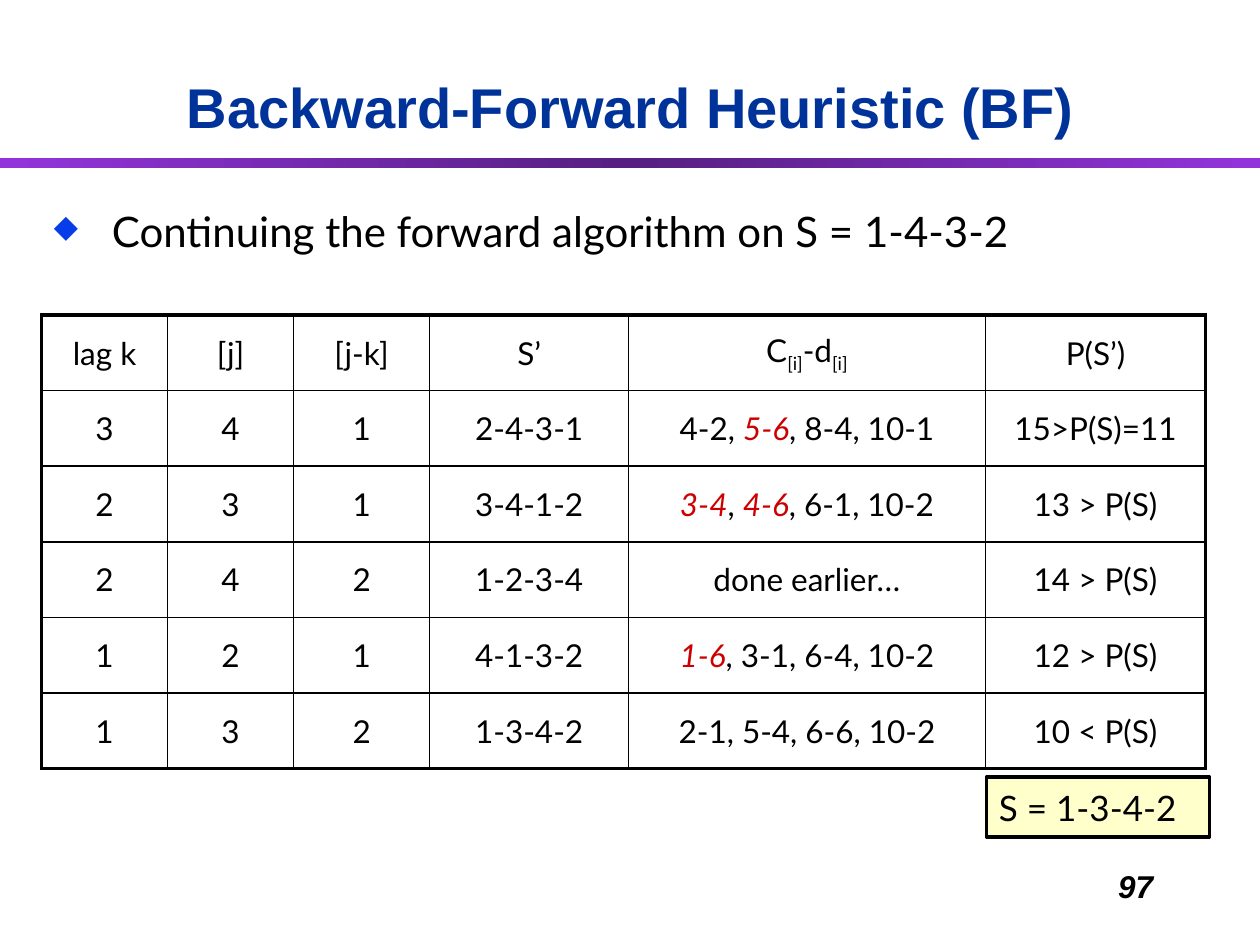
from copy import deepcopy
from dataclasses import dataclass

from lxml.etree import SubElement
from pptx import Presentation
from pptx.dml.color import RGBColor as RGB
from pptx.enum.shapes import MSO_SHAPE as SHAPE
from pptx.enum.text import MSO_ANCHOR as ANCHOR, PP_ALIGN as ALIGN
from pptx.oxml.ns import qn
from pptx.util import Inches, Pt


@dataclass(frozen=True)
class Theme:
    black: str = "000000"
    title: str = "003399"
    bullet: str = "063DE8"
    red: str = "CC0000"
    note: str = "FFFFCC"
    band: tuple = ("9234DB", "561F81", "9234DB")
    head_font: str = "Arial"
    body_font: str = "Lato"
    title_size: int = 32
    body_size: int = 24
    note_size: int = 20
    cell_size: int = 18
    thick: float = 2.25
    thin: float = 1


class SlideBuilder:
    def __init__(self, slide, theme):
        self.slide = slide
        self.theme = theme

    def style(self, font, size, name=None, color=None, bold=False, italic=False):
        font.name = name or self.theme.body_font
        font.size = Pt(size)
        font.color.rgb = RGB.from_string(color or self.theme.black)
        font.bold = bold
        font.italic = italic

    def text(self, box, text, size, align=ALIGN.LEFT, anchor=ANCHOR.TOP, **font):
        tf = self.slide.shapes.add_textbox(*map(Inches, box)).text_frame
        tf.word_wrap = True
        tf.vertical_anchor = anchor
        p = tf.paragraphs[0]
        p.text = text
        p.alignment = align
        self.style(p.runs[0].font, size, **font)
        return p

    def bullet(self, box, text, indent):
        p = self.text(box, text, self.theme.body_size)
        pPr = p._p.get_or_add_pPr()
        pPr.set("marL", str(Inches(indent)))
        pPr.set("indent", str(-Inches(indent)))
        color = SubElement(pPr, qn("a:buClr"))
        SubElement(color, qn("a:srgbClr"), val=self.theme.bullet)
        SubElement(pPr, qn("a:buSzPct"), val="75000")
        SubElement(pPr, qn("a:buChar"), char="◆")

    def rect(self, box):
        sp = self.slide.shapes.add_shape(SHAPE.RECTANGLE, *map(Inches, box))
        sp.shadow.inherit = False
        return sp

    def band(self, box):
        sp = self.rect(box)
        sp.line.fill.background()
        sp.fill.gradient()
        sp.fill.gradient_angle = 0
        stops = sp._element.spPr.find(".//" + qn("a:gsLst"))
        stops.append(deepcopy(stops[0]))
        for i, color in enumerate(self.theme.band):
            stop = sp.fill.gradient_stops[i]
            stop.color.rgb = RGB.from_string(color)
            stop.position = i / 2

    def note(self, box, text):
        sp = self.rect(box)
        sp.fill.solid()
        sp.fill.fore_color.rgb = RGB.from_string(self.theme.note)
        sp.line.color.rgb = RGB.from_string(self.theme.black)
        sp.line.width = Pt(self.theme.thick)
        p = sp.text_frame.paragraphs[0]
        p.text = text
        p.alignment = ALIGN.LEFT
        self.style(p.runs[0].font, self.theme.note_size)

    def border(self, cell, side, width):
        ln = SubElement(cell._tc.get_or_add_tcPr(), qn("a:ln" + side), w=str(Pt(width)))
        fill = SubElement(ln, qn("a:solidFill"))
        SubElement(fill, qn("a:srgbClr"), val=self.theme.black)

    def cell_text(self, cell, text):
        cell.vertical_anchor = ANCHOR.MIDDLE
        p = cell.text_frame.paragraphs[0]
        p.alignment = ALIGN.CENTER
        for i, part in enumerate(text.split("*")):
            for j, piece in enumerate(part.split("_")):
                if not piece:
                    continue
                r = p.add_run()
                r.text = piece
                early = i % 2 == 1
                self.style(r.font, self.theme.cell_size, italic=early,
                           color=self.theme.red if early else None)
                if j % 2:
                    r._r.get_or_add_rPr().set("baseline", "-25000")

    def table(self, left, top, widths, row_height, rows):
        n_rows, n_cols = len(rows), len(widths)
        frame = self.slide.shapes.add_table(
            n_rows, n_cols, Inches(left), Inches(top),
            Inches(sum(widths)), Inches(row_height * n_rows))
        table = frame.table
        table.first_row = table.horz_banding = False
        for column, width in zip(table.columns, widths):
            column.width = Inches(width)
        for i, row in enumerate(rows):
            table.rows[i].height = Inches(row_height)
            for j, text in enumerate(row):
                cell = table.cell(i, j)
                self.cell_text(cell, text)
                outer = {"L": j == 0, "R": j == n_cols - 1,
                         "T": i == 0, "B": i == n_rows - 1}
                for side, edge in outer.items():
                    self.border(cell, side, self.theme.thick if edge else self.theme.thin)
                cell.fill.background()


def main():
    prs = Presentation()
    prs.slide_width, prs.slide_height = Inches(10), Inches(7.5)
    theme = Theme()
    s = SlideBuilder(prs.slides.add_slide(prs.slide_layouts[6]), theme)

    s.band((0, 1.25, 10, 0.08))
    s.text((7.17, 6.83, 2.08, 0.5), "97", theme.cell_size, ALIGN.RIGHT,
           name=theme.head_font, bold=True, italic=True)
    s.text((0.2, 0.16, 9.61, 1), "Backward-Forward Heuristic (BF)", theme.title_size,
           ALIGN.CENTER, ANCHOR.BOTTOM, name=theme.head_font, color=theme.title, bold=True)
    s.bullet((0.33, 1.58, 9.42, 0.6), "Continuing the forward algorithm on S = 1-4-3-2", 0.46)
    s.table(0.33, 2.5, (1, 1, 1.08, 1.58, 2.83, 1.75), 0.6, [
        ("lag k", "[j]", "[j-k]", "S’", "C_[i]_-d_[i]_", "P(S’)"),
        ("3", "4", "1", "2-4-3-1", "4-2, *5-6*, 8-4, 10-1", "15>P(S)=11"),
        ("2", "3", "1", "3-4-1-2", "*3-4*, *4-6*, 6-1, 10-2", "13 > P(S)"),
        ("2", "4", "2", "1-2-3-4", "done earlier…", "14 > P(S)"),
        ("1", "2", "1", "4-1-3-2", "*1-6*, 3-1, 6-4, 10-2", "12 > P(S)"),
        ("1", "3", "2", "1-3-4-2", "2-1, 5-4, 6-6, 10-2", "10 < P(S)"),
    ])
    s.note((7.83, 6.17, 1.77, 0.47), "S = 1-3-4-2")
    prs.save("out.pptx")


if __name__ == "__main__":
    main()
